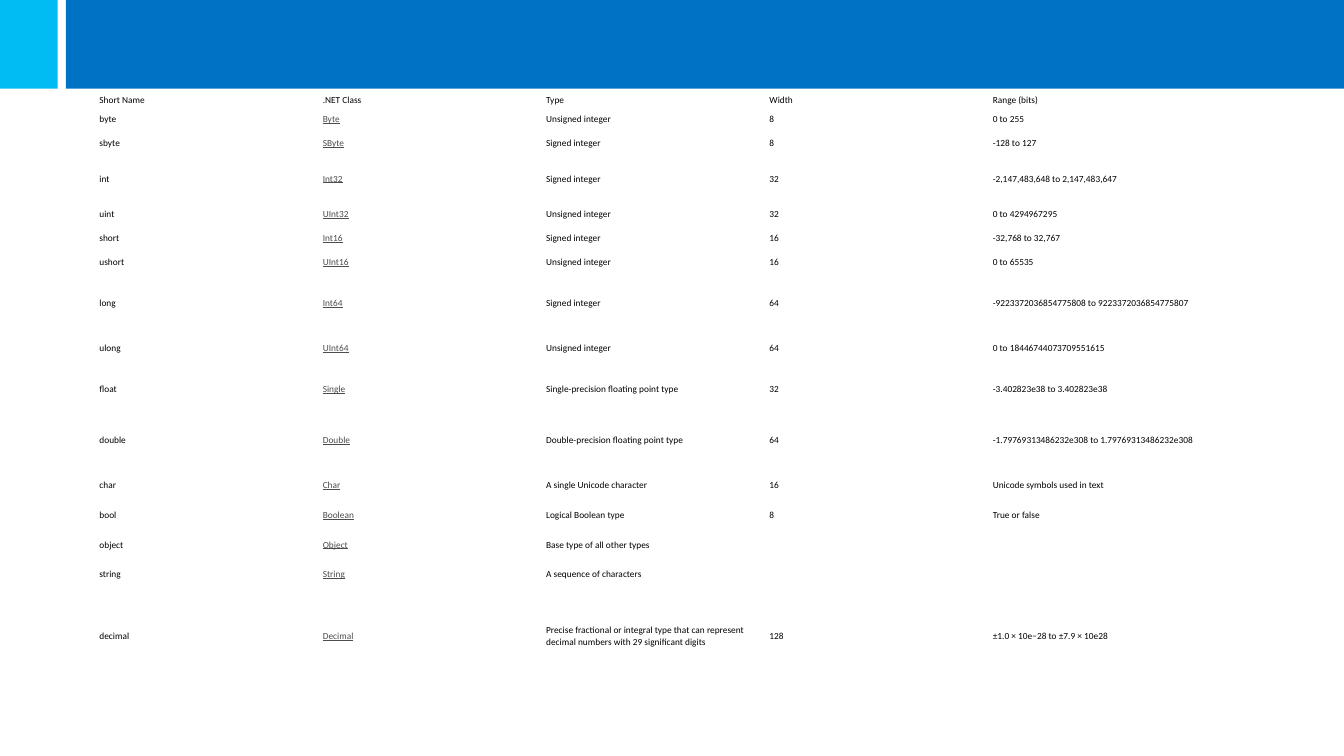
from pptx import Presentation
from pptx import util as u
from pptx.dml import color
from pptx.enum import shapes, text

BLUE, CYAN, BLACK, LINK = "0072C6", "00BCF2", "000000", "4C4C4C"
SLIDE_WIDTH = 10
SLIDE_HEIGHT = SLIDE_WIDTH * 9 / 16
BAR_HEIGHT = 0.66
TABLE_WIDTH = 8.31

HEADER = ("Short Name", ".NET Class", "Type", "Width", "Range (bits)")
TYPES = [
    (0.18, "byte", "Byte", "Unsigned integer", "8", "0 to 255"),
    (0.18, "sbyte", "SByte", "Signed integer", "8", "-128 to 127"),
    (0.35, "int", "Int32", "Signed integer", "32", "-2,147,483,648 to 2,147,483,647"),
    (0.18, "uint", "UInt32", "Unsigned integer", "32", "0 to 4294967295"),
    (0.18, "short", "Int16", "Signed integer", "16", "-32,768 to 32,767"),
    (0.18, "ushort", "UInt16", "Unsigned integer", "16", "0 to 65535"),
    (0.42, "long", "Int64", "Signed integer", "64",
     "-9223372036854775808 to 9223372036854775807"),
    (0.26, "ulong", "UInt64", "Unsigned integer", "64", "0 to 18446744073709551615"),
    (0.34, "float", "Single", "Single-precision floating point type", "32",
     "-3.402823e38 to 3.402823e38"),
    (0.42, "double", "Double", "Double-precision floating point type", "64",
     "-1.79769313486232e308 to 1.79769313486232e308"),
    (0.26, "char", "Char", "A single Unicode character", "16",
     "Unicode symbols used in text"),
    (0.18, "bool", "Boolean", "Logical Boolean type", "8", "True or false"),
    (0.26, "object", "Object", "Base type of all other types", "", ""),
    (0.18, "string", "String", "A sequence of characters", "", ""),
    (0.74, "decimal", "Decimal",
     "Precise fractional or integral type that can represent decimal numbers "
     "with 29 significant digits", "128", "±1.0 × 10e−28 to ±7.9 × 10e28"),
]
ROWS = [(0.1, *HEADER), *TYPES]


def paint(target, hex_color):
    target.rgb = color.RGBColor.from_string(hex_color)


deck = Presentation()
deck.slide_width, deck.slide_height = u.Inches(SLIDE_WIDTH), u.Inches(SLIDE_HEIGHT)
page = deck.slides.add_slide(deck.slide_layouts[6])

for left, width, hex_color in ((0.49, 9.51, BLUE), (0, 0.43, CYAN)):
    bar = page.shapes.add_shape(shapes.MSO_SHAPE.RECTANGLE, u.Inches(left), 0,
                                u.Inches(width), u.Inches(BAR_HEIGHT))
    bar.shadow.inherit = False
    bar.fill.solid()
    paint(bar.fill.fore_color, hex_color)
    bar.line.fill.background()

frame = page.shapes.add_table(len(ROWS), len(HEADER), u.Inches(0.71), u.Inches(0.69),
                              u.Inches(TABLE_WIDTH),
                              u.Inches(sum(row[0] for row in ROWS)))
table = frame.table
table.first_row = table.horz_banding = False

for row_index, (height, *words) in enumerate(ROWS):
    table.rows[row_index].height = u.Inches(height)
    for column_index, word in enumerate(words):
        cell = table.cell(row_index, column_index)
        cell.fill.background()
        cell.vertical_anchor = text.MSO_ANCHOR.MIDDLE
        cell.margin_left = cell.margin_right = u.Inches(0.03)
        cell.margin_top = cell.margin_bottom = u.Inches(0.01)
        para = cell.text_frame.paragraphs[0]
        if not word:
            para._p.get_or_add_endParaRPr().set("sz", "500")
            continue
        is_link = row_index > 0 and column_index == 1
        para.font.name = "Calibri"
        para.font.size = u.Pt(5)
        para.font.underline = is_link
        paint(para.font.color, LINK if is_link else BLACK)
        span = para.add_run()
        span.text = word

deck.save("out.pptx")
